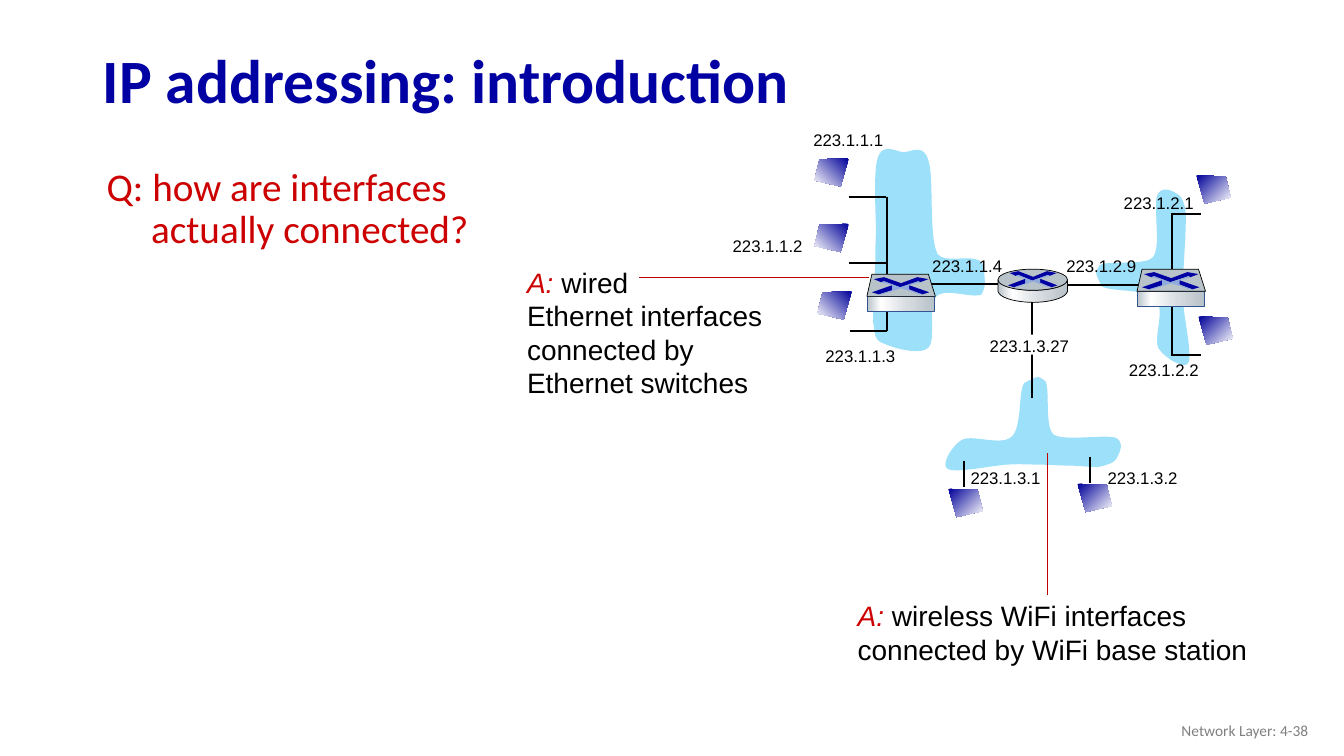
from dataclasses import dataclass
from lxml.etree import SubElement
from pptx import Presentation
from pptx.dml.color import RGBColor
from pptx.enum.shapes import MSO_CONNECTOR, MSO_SHAPE
from pptx.enum.text import MSO_ANCHOR, MSO_AUTO_SIZE, PP_ALIGN
from pptx.oxml.ns import qn
from pptx.util import Inches, Pt


@dataclass(frozen=True)
class Theme:
    title: str = "0000A3"
    red: str = "CC0000"
    wire: str = "C00000"
    black: str = "000000"
    white: str = "FFFFFF"
    cloud: str = "9CE0FA"
    metal: str = "B8C2C9"
    edge: str = "325491"
    shade: str = "8FAADC"
    grey: str = "808080"
    screen: tuple = ((0, "000099"), (100, "FFFFFF"))
    steel: tuple = ((0, "B8C2C9"), (21, "FFFFFF"), (60, "D6DCE0"), (100, "B8C2C9"))
    head: int = 44
    body: int = 28
    note: int = 20
    label: int = 12
    foot: int = 11
    sans: str = "Arial"
    main: str = "Calibri"


T = Theme()
CELL = Inches(0.1)
COLS, ROWS = 133.33, 75

CLOUDS = [
    [(101.6, 38), (101, 38.9), (101.4, 42.3), (100.4, 43.3), (99.4, 44.3), (96.6, 43.1),
     (95.5, 43.6), (94.5, 44.1), (93.3, 46.1), (94, 46.5), (94.7, 47), (98.3, 46.2),
     (99.8, 46.1), (101.3, 46), (102.1, 46.1), (103.2, 46.1), (104.3, 46.1), (105.3, 46.2),
     (106.3, 46.2), (107.2, 46.2), (108.4, 46.4), (109.1, 46.3), (109.9, 46.1), (110.6, 45.9),
     (110.8, 45.4), (111.1, 44.9), (111.6, 43.8), (110.6, 43.4), (109.5, 43.1), (105.4, 43.8),
     (104.5, 43.1), (103.6, 42.3), (104.2, 38.5), (103.7, 37.8), (102.9, 37.3), (103.2, 37.2),
     (101.6, 38)],
    [(109.3, 28.4), (110.2, 29), (113.6, 28.6), (114.6, 29.6), (115.7, 30.6), (114.4, 33.4),
     (114.9, 34.5), (115.5, 35.5), (117.5, 36.7), (117.9, 36), (118.3, 35.3), (117.5, 31.7),
     (117.4, 30.2), (117.3, 28.7), (117.4, 27.9), (117.4, 26.8), (117.5, 25.7), (117.5, 24.7),
     (117.6, 23.7), (117.6, 22.7), (117.7, 21.6), (117.6, 20.9), (117.5, 20.1), (117.2, 19.4),
     (116.7, 19.2), (116.3, 18.9), (115.2, 18.4), (114.8, 19.4), (114.4, 20.5), (115.2, 24.6),
     (114.4, 25.5), (113.7, 26.4), (109.8, 25.8), (109.1, 26.3), (108.7, 27.1), (108.5, 26.8),
     (109.3, 28.4)],
    [(97.6, 26.6), (97.4, 24.7), (93.9, 26.4), (93, 25.2), (92.1, 23.4), (92.7, 17.6),
     (92.1, 15.9), (91.6, 14.2), (90.4, 15.1), (89.6, 15.1), (88.8, 15), (87.6, 14.2),
     (87.1, 15.6), (86.6, 16.9), (86.9, 21.3), (86.9, 23.1), (86.8, 24.9), (86.9, 25.4),
     (86.8, 26.5), (86.8, 27.6), (86.7, 28.6), (86.7, 29.6), (86.7, 30.6), (86.5, 31.7),
     (86.7, 32.4), (86.8, 33.2), (86.8, 33.8), (87.7, 34.1), (88.6, 34.5), (91.2, 35.3),
     (92.1, 34.5), (92.9, 33.8), (92, 30.3), (92.9, 29.4), (93.8, 28.5), (96.6, 29.7),
     (97.4, 29.2), (97.7, 28.4), (97.8, 28.5), (97.6, 26.6)],
]
RIM = [(105.9, 27.8), (105.9, 28.1), (105.9, 28.5), (105.9, 28.9), (105.7, 29.7),
       (103.7, 30), (102.5, 30), (101.3, 30), (99.2, 29.7), (99, 28.9), (99, 28.7),
       (99, 28.1), (99, 27.8), (99.3, 28.5), (101.3, 28.8), (102.5, 28.8), (103.6, 28.8),
       (105.6, 28.6), (105.9, 27.8)]
CROSS = [
    (T.title, [(4.5, 0), (5.6, 0.2), (4.8, 0.5), (4.6, 0.4), (2.8, 1), (1.2, 0.4),
               (0.9, 0.5), (0.2, 0.2), (1.2, 0), (2.9, 0.6)]),
    (T.title, [(3.7, 0.8), (5.7, 1.5), (5, 1.7), (3.7, 1.2)]),
    (T.title, [(2, 0.8), (2, 1.3), (0.7, 1.7), (0, 1.5)]),
    (T.shade, [(0.9, 0.5), (1.2, 0.4), (2.8, 1), (4.6, 0.4), (4.8, 0.5), (3.7, 0.8),
               (3.7, 1.3), (5, 1.7), (4.7, 1.7), (2.9, 1.1), (1, 1.7), (0.7, 1.7),
               (2, 1.3), (2, 0.8)]),
]
LABELS = [("223.1.1.1", 79.7, 12.4), ("223.1.1.2", 71.7, 22.9), ("223.1.1.3", 80.9, 33.8),
          ("223.1.1.4", 91.5, 24.9), ("223.1.2.9", 104.8, 24.9), ("223.1.2.2", 111, 35.2),
          ("223.1.2.1", 110.5, 18.6), ("223.1.3.2", 108.9, 45.9), ("223.1.3.1", 95.3, 45.9),
          ("223.1.3.27", 97.2, 32.8)]
HOSTS = [(80.8, 15.7, True), (80.8, 22.2, True), (81.1, 28.9, True), (118.7, 17.4, False),
         (118.9, 31.4, False), (106.9, 48, False), (94.1, 48.5, False)]
LINKS = [(84.2, 19.5, 87.9, 19.5), (84.2, 26.1, 87.9, 26.1), (84.3, 32.8, 88, 32.8),
         (116.2, 21.2, 119.1, 21.2), (116.3, 35.2, 119.1, 35.2), (95.6, 45.7, 95.6, 48.3),
         (108.1, 45.3, 108.1, 47.9), (91.5, 28.2, 100.2, 28.2), (104.4, 28.3, 115.1, 28.3),
         (88, 19.5, 88, 32.8), (116.3, 21.1, 116.3, 35.3)]


def cells(*nums):
    return [round(n * CELL) for n in nums]


def rgb(tone):
    return RGBColor.from_string(tone)


def paint(shape, fill, line=None, angle=0):
    shape.shadow.inherit = False
    if isinstance(fill, str):
        shape.fill.solid()
        shape.fill.fore_color.rgb = rgb(fill)
    else:
        shape.fill.gradient()
        shape.fill.gradient_angle = angle
        stops = next(shape._element.spPr.iter(qn("a:gsLst")))
        for stop in list(stops):
            stops.remove(stop)
        for pos, tone in fill:
            stop = SubElement(stops, qn("a:gs"), pos=str(pos * 1000))
            SubElement(stop, qn("a:srgbClr"), val=tone)
    if line:
        shape.line.color.rgb = rgb(line)
        shape.line.width = Pt(0.5)
    else:
        shape.line.fill.background()


def block(slide, kind, box, fill, line=None):
    paint(slide.shapes.add_shape(kind, *cells(*box)), fill, line)


def outline(slide, points, fill, line=None, angle=0):
    spots = [cells(*point) for point in points]
    form = slide.shapes.build_freeform(*spots[0], scale=1.0)
    form.add_line_segments(spots[1:], close=True)
    paint(form.convert_to_shape(), fill, line, angle)


def curve(points, steps=10):
    path = [points[0]]
    for i in range(0, len(points) - 1, 3):
        a, b, c, d = points[i:i + 4]
        for k in range(1, steps + 1):
            t = k / steps
            u = 1 - t
            path.append(tuple(u**3 * p + 3 * u * u * t * q + 3 * u * t * t * r + t**3 * s
                              for p, q, r, s in zip(a, b, c, d)))
    return path


def link(slide, ends, tone=T.black, width=1.5):
    wire = slide.shapes.add_connector(MSO_CONNECTOR.STRAIGHT, *cells(*ends))
    wire.line.color.rgb = rgb(tone)
    wire.line.width = Pt(width)
    SubElement(wire._element.spPr, qn("a:effectLst"))


def style(run, size, tone, face=T.sans, bold=False, slant=False):
    font = run.font
    font.size, font.name, font.bold, font.italic = Pt(size), face, bold, slant
    font.color.rgb = rgb(tone)


def write(slide, box, text, size, tone, face=T.sans, wrap=True, fit=False):
    frame = slide.shapes.add_textbox(*cells(*box)).text_frame
    frame.word_wrap = wrap
    frame.auto_size = MSO_AUTO_SIZE.SHAPE_TO_FIT_TEXT if fit else MSO_AUTO_SIZE.NONE
    frame.text = text
    for para in frame.paragraphs:
        for run in para.runs:
            style(run, size, tone, face)
    return frame


def answer(slide, box, text, ends, width):
    frame = write(slide, box, "A: \n" + text, T.note, T.black, fit=True)
    first, rest = frame.paragraphs[:2]
    style(first.runs[0], T.note, T.red, slant=True)
    first._p.append(rest.runs[0]._r)
    rest._p.getparent().remove(rest._p)
    link(slide, ends, T.wire, width)


def cross(slide, left, top, wide=1, high=1):
    for tone, points in CROSS:
        outline(slide, [(left + x * wide, top + y * high) for x, y in points], tone)


def switch(slide, left, top):
    block(slide, MSO_SHAPE.RECTANGLE, (left, top + 2.2, 6.7, 1.5), T.steel, T.edge)
    lid = [(0, 2.2), (0.5, 0), (6.1, 0), (6.8, 2.2)]
    outline(slide, [(left + x, top + y) for x, y in lid], T.metal, T.black)
    cross(slide, left + 0.5, top + 0.3)


def router(slide):
    outline(slide, curve(RIM), T.steel, T.black)
    block(slide, MSO_SHAPE.OVAL, (99, 26.7, 6.9, 2.1), T.metal, T.black)
    cross(slide, 100, 26.9, 0.86, 0.94)


def host(slide, left, top, flip):
    points = [(0, 0), (2.9, 0.1), (3.4, 2.2), (0.8, 2.8)]
    outline(slide, [(left + (3.4 - x if flip else x), top + y) for x, y in points],
            T.screen, angle=225 if flip else 315)


def heading(slide, text):
    title = slide.shapes.title
    title.left, title.top, title.width, title.height = cells(9.2, 3.4, 115, 9.8)
    frame = title.text_frame
    frame.text = text
    frame.auto_size = MSO_AUTO_SIZE.NONE
    frame.vertical_anchor = MSO_ANCHOR.MIDDLE
    para = frame.paragraphs[0]
    para.alignment, para.line_spacing = PP_ALIGN.LEFT, 0.9
    style(para.runs[0], T.head, T.title, T.main, bold=True)


def query(slide, text):
    para = write(slide, (9.6, 16.1, 38.2, 18.4), text, T.body, T.red, T.main).paragraphs[0]
    para.line_spacing = 0.9
    props = para._p.get_or_add_pPr()
    props.set("marL", str(Inches(0.44)))
    props.set("indent", str(-Inches(0.44)))


def main():
    deck = Presentation()
    deck.slide_width, deck.slide_height = cells(COLS, ROWS)
    slide = deck.slides.add_slide(deck.slide_layouts[5])
    heading(slide, "IP addressing: introduction")
    for cloud in CLOUDS:
        outline(slide, curve(cloud), T.cloud)
    link(slide, (102.4, 29.9, 102.4, 39.5))
    for mask in [(72.7, 23.7, 9.1, 2), (97.8, 33.2, 9.3, 2)]:
        block(slide, MSO_SHAPE.RECTANGLE, mask, T.white)
    for text, left, top in LABELS:
        write(slide, (left, top, len(text), 3), text, T.label, T.black, wrap=False, fit=True)
    for spot in HOSTS:
        host(slide, *spot)
    for ends in LINKS:
        link(slide, ends)
    query(slide, "Q: how are interfaces actually connected?")
    answer(slide, (51.3, 25.8, 27.9, 14.5),
           "wired\nEthernet interfaces connected by Ethernet switches",
           (86.2, 27.5, 63.4, 27.5), 0.75)
    answer(slide, (84.1, 58.9, 45.6, 7.7),
           "wireless WiFi interfaces connected by WiFi base station",
           (103.9, 59, 103.9, 44.9), 1)
    router(slide)
    switch(slide, 86, 27.2)
    switch(slide, 112.8, 26.7)
    foot = write(slide, (100.8, 70.5, 30, 4), "Network Layer: 4-38", T.foot, T.grey, T.main)
    foot.vertical_anchor = MSO_ANCHOR.MIDDLE
    foot.paragraphs[0].alignment = PP_ALIGN.RIGHT
    deck.save("out.pptx")


if __name__ == "__main__":
    main()
